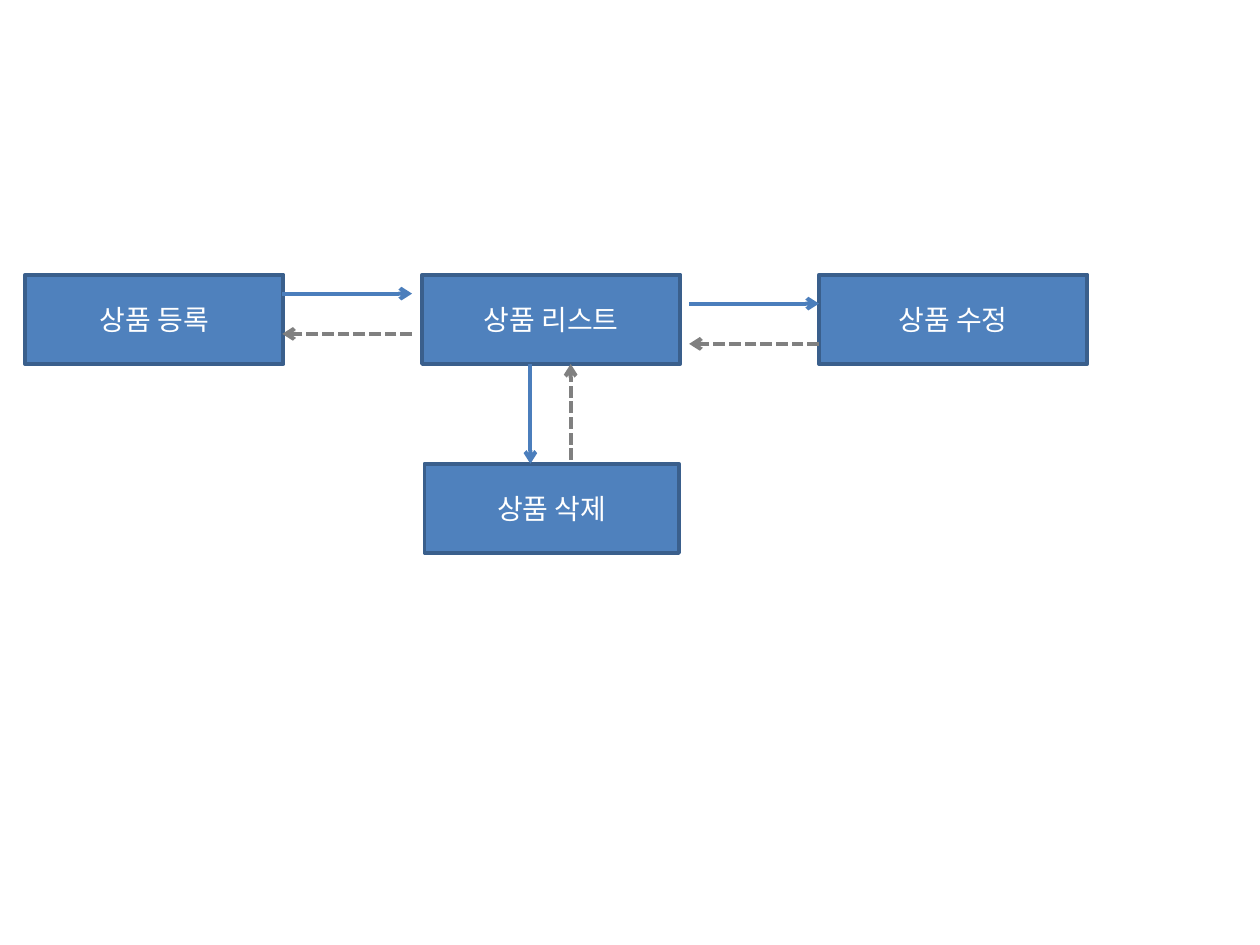
from lxml.etree import SubElement as Sub
from pptx import Presentation
from pptx.dml.color import RGBColor as Rgb
from pptx.enum.dml import MSO_LINE as Dash
from pptx.enum.shapes import MSO_CONNECTOR as Conn, MSO_SHAPE as Shape
from pptx.enum.text import MSO_ANCHOR as Anchor, PP_ALIGN as Align
from pptx.oxml.ns import qn
from pptx.util import Pt

HUES = {"fill": "4F81BD", "edge": "3A5F8C", "go": "4B7EBC", "back": "808080", "text": "FFFFFF"}
FACE = "Noto Sans CJK KR"
FONT = {"name": FACE, "size": Pt(16), "bold": False}
TOP, HIGH = 157, 51
NODES = [
    ("상품 리스트", (241.2, TOP, 147.6, HIGH)),
    ("상품 수정", (468, TOP, 153.4, HIGH)),
    ("상품 등록", (14.4, TOP, 147.6, HIGH)),
    ("상품 삭제", (242.6, 265, 145.4, HIGH)),
]
FLOWS = [
    ((303.1, 208, 23, 57), True),
    ((161.3, 167.8, 74.2, 23), False),
    ((393.8, 173.5, 74.2, 23), False),
]


def hue(key):
    """Return the named colour."""
    return Rgb.from_string(HUES[key])


def stroke(line, key):
    """Give a line its colour and width."""
    line.color.rgb = hue(key)
    line.width = Pt(2.25)


def node(slide, box, label):
    """Draw one labelled step in its box."""
    shape = slide.shapes.add_shape(Shape.RECTANGLE, *map(Pt, box))
    shape.shadow.inherit = False
    shape.fill.solid()
    shape.fill.fore_color.rgb = hue("fill")
    stroke(shape.line, "edge")
    frame = shape.text_frame
    frame.word_wrap = True
    frame.vertical_anchor = Anchor.MIDDLE
    para = frame.paragraphs[0]
    para.alignment = Align.CENTER
    run = para.add_run()
    run.text = label
    for name, value in FONT.items():
        setattr(run.font, name, value)
    run.font.color.rgb = hue("text")
    Sub(run.font._element, qn("a:ea"), typeface=FACE)


def arrow(slide, start, end, key):
    """Draw an arrow, dashed when it leads back."""
    link = slide.shapes.add_connector(Conn.STRAIGHT, *map(Pt, start + end))
    stroke(link.line, key)
    if key == "back":
        link.line.dash_style = Dash.SQUARE_DOT
    Sub(link.line._get_or_add_ln(), qn("a:tailEnd"), type="arrow")
    Sub(link._element.spPr, qn("a:effectLst"))


def flow(slide, box, down):
    """Draw a forward and a return arrow on opposite sides of a box."""
    x, y, w, h = box
    if down:
        arrow(slide, (x, y), (x, y + h), "go")
        arrow(slide, (x + w, y + h - 2), (x + w, y), "back")
    else:
        arrow(slide, (x, y), (x + w, y), "go")
        arrow(slide, (x + w, y + h), (x, y + h), "back")


def main():
    """Build and save the product page flow."""
    deck = Presentation()
    deck.slide_width, deck.slide_height = Pt(720), Pt(540)
    slide = deck.slides.add_slide(deck.slide_layouts[6])
    for label, box in NODES:
        node(slide, box, label)
    for box, down in FLOWS:
        flow(slide, box, down)
    deck.save("out.pptx")


if __name__ == "__main__":
    main()
